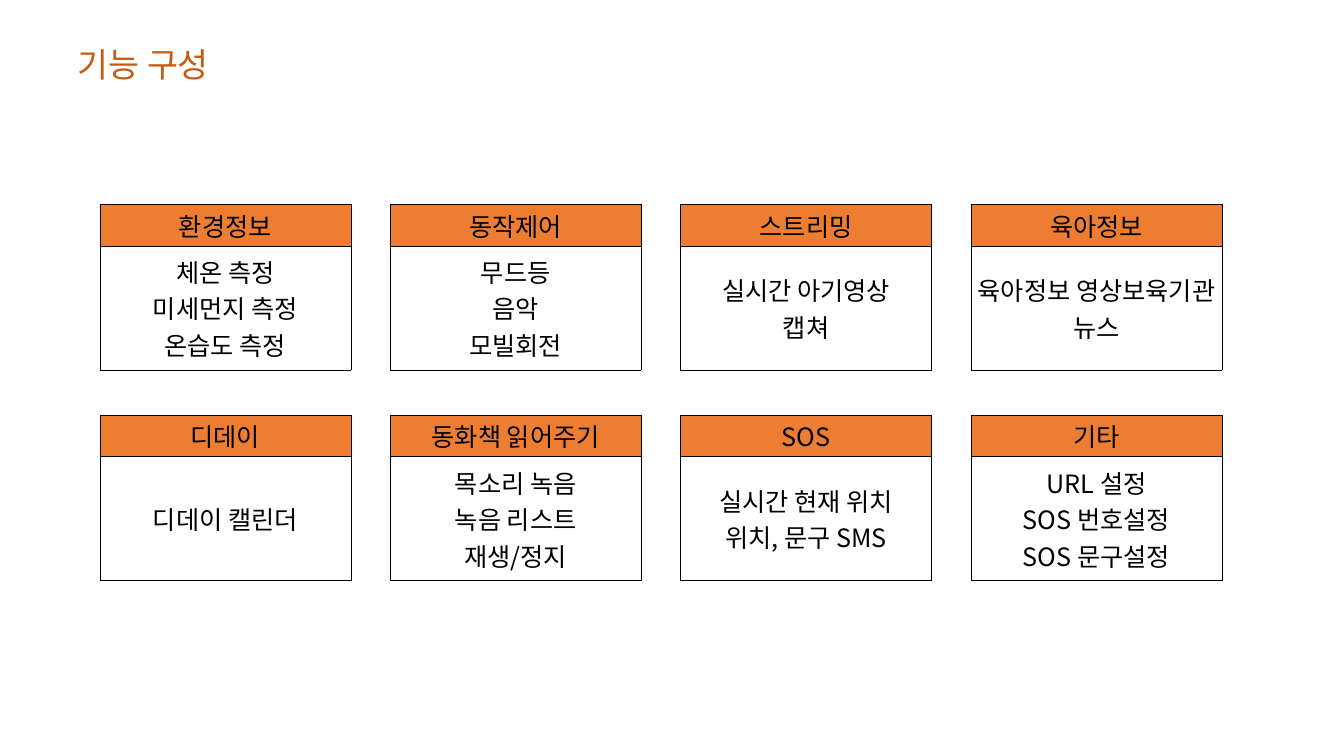
from dataclasses import dataclass

import pptx
import pptx.dml.color
import pptx.enum.text
import pptx.oxml
import pptx.oxml.ns
import pptx.util
from pptx.util import Inches

ALIGN = pptx.enum.text.PP_ALIGN
ANCHOR = pptx.enum.text.MSO_ANCHOR


@dataclass(frozen=True)
class Theme:
    font: str = "Noto Sans CJK KR"
    head: str = "C55A11"
    fill: str = "ED7D31"
    ink: str = "000000"
    big: int = 24
    text: int = 18
    rule: float = 0.23


class Deck:
    def __init__(self, theme):
        self.theme = theme
        self.show = pptx.Presentation()
        self.show.slide_width = Inches(13.33)
        self.show.slide_height = Inches(7.5)
        self.slide = self.show.slides.add_slide(self.show.slide_layouts[5])

    def label(self, frame, lines, size, color, align):
        frame.text = "\n".join(lines)
        for para in frame.paragraphs:
            para.alignment = align
            font = para.font
            font.size = pptx.util.Pt(size)
            font.color.rgb = pptx.dml.color.RGBColor.from_string(color)
            font.name = self.theme.font
            # Hangul takes the East Asian typeface
            face = pptx.oxml.parse_xml(
                f'<a:ea {pptx.oxml.ns.nsdecls("a")} typeface="{self.theme.font}"/>')
            para._p.pPr.defRPr.append(face)

    def title(self, text, left, top, width, height):
        box = self.slide.shapes.title
        box.left, box.top = Inches(left), Inches(top)
        box.width, box.height = Inches(width), Inches(height)
        frame = box.text_frame
        frame.word_wrap = False
        frame.auto_size = pptx.enum.text.MSO_AUTO_SIZE.SHAPE_TO_FIT_TEXT
        frame.vertical_anchor = ANCHOR.TOP
        self.label(frame, [text], self.theme.big, self.theme.head, ALIGN.LEFT)

    def border(self, cell):
        props = cell._tc.get_or_add_tcPr()
        for side in "LRTB":
            props.append(pptx.oxml.parse_xml(
                f'<a:ln{side} {pptx.oxml.ns.nsdecls("a")} '
                f'w="{pptx.util.Pt(self.theme.rule)}"><a:solidFill>'
                f'<a:srgbClr val="{self.theme.ink}"/></a:solidFill></a:ln{side}>'))

    def cell(self, cell, lines, fill=None):
        self.border(cell)
        if fill:
            cell.fill.solid()
            cell.fill.fore_color.rgb = pptx.dml.color.RGBColor.from_string(fill)
        else:
            cell.fill.background()
        cell.margin_left = cell.margin_right = Inches(0.05)
        cell.margin_top = cell.margin_bottom = 0
        cell.vertical_anchor = ANCHOR.MIDDLE
        self.label(cell.text_frame, lines, self.theme.text, self.theme.ink,
                   ALIGN.CENTER)

    def card(self, name, items, left, top, width, rows):
        """Add a table with a filled name row above a row of items."""
        table = self.slide.shapes.add_table(
            2, 1, Inches(left), Inches(top), Inches(width),
            Inches(sum(rows))).table
        table.first_row = table.horz_banding = False
        for row, height in zip(table.rows, rows):
            row.height = Inches(height)
        self.cell(table.cell(0, 0), [name], self.theme.fill)
        self.cell(table.cell(1, 0), items)


CARDS = [
    ("환경정보", ["체온 측정", "미세먼지 측정", "온습도 측정"]),
    ("동작제어", ["무드등", "음악", "모빌회전"]),
    ("스트리밍", ["실시간 아기영상", "캡쳐"]),
    ("육아정보", ["육아정보 영상보육기관 뉴스"]),
    ("디데이", ["디데이 캘린더"]),
    ("동화책 읽어주기", ["목소리 녹음", "녹음 리스트", "재생/정지"]),
    ("SOS", ["실시간 현재 위치", "위치, 문구 SMS"]),
    ("기타", ["URL 설정", "SOS 번호설정", "SOS 문구설정"]),
]


def main():
    deck = Deck(Theme())
    deck.title("기능 구성", 0.67, 0.39, 1.59, 0.5)
    for index, (name, items) in enumerate(CARDS):
        row, col = divmod(index, 4)
        deck.card(name, items, 0.99 + 2.88 * col, 2.03 + 2.09 * row,
                  2.49, (0.41, 1.23))
    deck.show.save("out.pptx")


if __name__ == "__main__":
    main()
